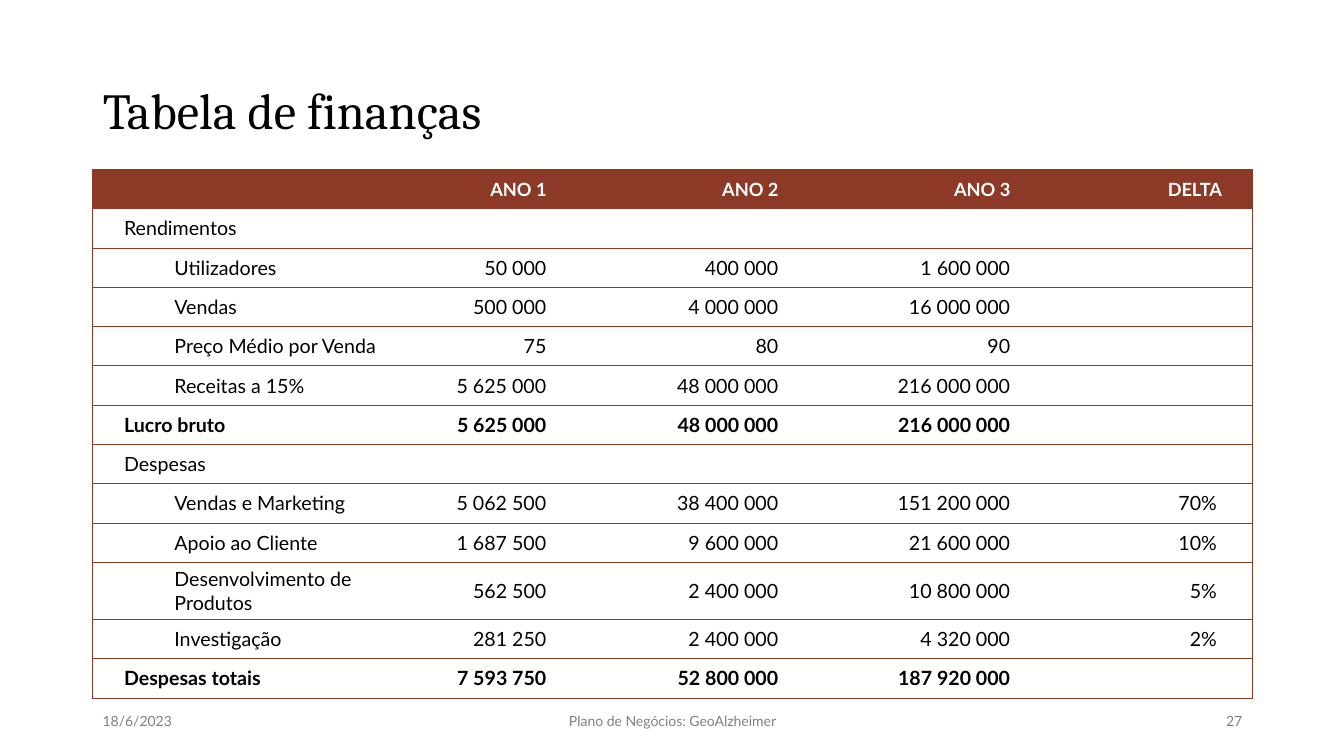
from lxml import etree
from pptx import Presentation
from pptx.dml.color import RGBColor as Rgb
from pptx.enum.text import MSO_ANCHOR as Anchor, PP_ALIGN as Align
from pptx.oxml.ns import qn
from pptx.util import Inches, Pt

HUES = {"rust": "8C3A27", "black": "000000", "white": "FFFFFF", "gray": "808080"}
LEFT, WIDE = 0.92, 11.5
COLS = [2.99, 1.61, 2.3, 2.3, 2.3]
ROW = 0.39
HEAD = ["", "ANO 1", "ANO 2", "ANO 3", "DELTA"]
# Level of each row, then its cells
BODY = [
    ("group", "Rendimentos"),
    ("item", "Utilizadores", "50 000", "400 000", "1 600 000"),
    ("item", "Vendas", "500 000", "4 000 000", "16 000 000"),
    ("item", "Preço Médio por Venda", "75", "80", "90"),
    ("item", "Receitas a 15%", "5 625 000", "48 000 000", "216 000 000"),
    ("total", "Lucro bruto", "5 625 000", "48 000 000", "216 000 000"),
    ("group", "Despesas"),
    ("item", "Vendas e Marketing", "5 062 500", "38 400 000", "151 200 000", "70%"),
    ("item", "Apoio ao Cliente", "1 687 500", "9 600 000", "21 600 000", "10%"),
    ("item", "Desenvolvimento de Produtos", "562 500", "2 400 000", "10 800 000", "5%"),
    ("item", "Investigação", "281 250", "2 400 000", "4 320 000", "2%"),
    ("total", "Despesas totais", "7 593 750", "52 800 000", "187 920 000"),
]


def style(para, hue, align=Align.LEFT, **form):
    """Format a paragraph's run."""
    para.alignment = align
    font = para.runs[0].font
    for key, val in form.items():
        setattr(font, key, val)
    font.color.rgb = Rgb.from_string(HUES[hue])


def place(shape, left, top, width, height):
    box = {"left": left, "top": top, "width": width, "height": height}
    for key, val in box.items():
        setattr(shape, key, Inches(val))


def add_title(slide, text):
    title = slide.shapes.title
    place(title, LEFT, 0.77, WIDE, 0.7)
    frame = title.text_frame
    frame.text = text
    frame.vertical_anchor = Anchor.MIDDLE
    para = frame.paragraphs[0]
    para.line_spacing = 0.9
    style(para, "black", size=Pt(36), name="Cambria")


def add_note(slide, text, left, width, align):
    """Add one text of the footer line."""
    box = slide.shapes.add_textbox(*map(Inches, (left, 6.95, width, 0.4)))
    frame = box.text_frame
    frame.word_wrap = True
    frame.vertical_anchor = Anchor.MIDDLE
    frame.text = text
    style(frame.paragraphs[0], "gray", align, size=Pt(10), name="Lato")


def add_edges(cell, shown):
    """Draw the shown sides of a cell and clear the others."""
    props = cell._tc.get_or_add_tcPr()
    for side in "LRTB":
        line = etree.SubElement(props, qn(f"a:ln{side}"), w=str(Pt(0.5)))
        if side in shown:
            fill = etree.SubElement(line, qn("a:solidFill"))
            etree.SubElement(fill, qn("a:srgbClr"), val=HUES["rust"])
        else:
            etree.SubElement(line, qn("a:noFill"))


def fill_cell(cell, text, level, col):
    last = len(COLS) - 1
    add_edges(cell, "TB" + {0: "L", last: "R"}.get(col, ""))
    head = level == "head"
    if head:
        cell.fill.solid()
        cell.fill.fore_color.rgb = Rgb.from_string(HUES["rust"])
    else:
        cell.fill.background()
    cell.vertical_anchor = Anchor.MIDDLE
    if not text:
        # Keep the empty line from stretching the row
        cell.margin_top = cell.margin_bottom = 0
        return
    if col == 0:
        cell.margin_left = Inches(0.31)
    elif col == last:
        cell.margin_right = Inches(0.3 if head else 0.35)
    cell.text = text
    para = cell.text_frame.paragraphs[0]
    if level == "item" and col == 0:
        para.level = 1
        props = para._p.get_or_add_pPr()
        props.set("marL", str(Inches(0.5)))
        props.set("indent", "0")
    style(para, "white" if head else "black", Align.RIGHT if col else Align.LEFT,
          size=Pt(13 if head else 14), name="Lato", bold=level in ("head", "total"))


def add_grid(slide):
    rows = [("head", *HEAD), *BODY]
    area = map(Inches, (LEFT, 1.68, WIDE, ROW * len(rows)))
    grid = slide.shapes.add_table(len(rows), len(COLS), *area).table
    grid.horz_banding = False
    for col, width in zip(grid.columns, COLS):
        col.width = Inches(width)
    for r, (level, *texts) in enumerate(rows):
        grid.rows[r].height = Inches(ROW)
        texts += [""] * (len(COLS) - len(texts))
        for c, text in enumerate(texts):
            fill_cell(grid.cell(r, c), text, level, c)


def main():
    deck = Presentation()
    deck.slide_width, deck.slide_height = Inches(13.33), Inches(7.5)
    slide = deck.slides.add_slide(deck.slide_layouts[5])
    add_title(slide, "Tabela de finanças")
    add_grid(slide)
    # Footer
    add_note(slide, "18/6/2023", LEFT, 3, Align.LEFT)
    add_note(slide, "Plano de Negócios: GeoAlzheimer", 4.42, 4.5, Align.CENTER)
    add_note(slide, "27", 9.42, 3, Align.RIGHT)
    deck.save("out.pptx")


if __name__ == "__main__":
    main()
